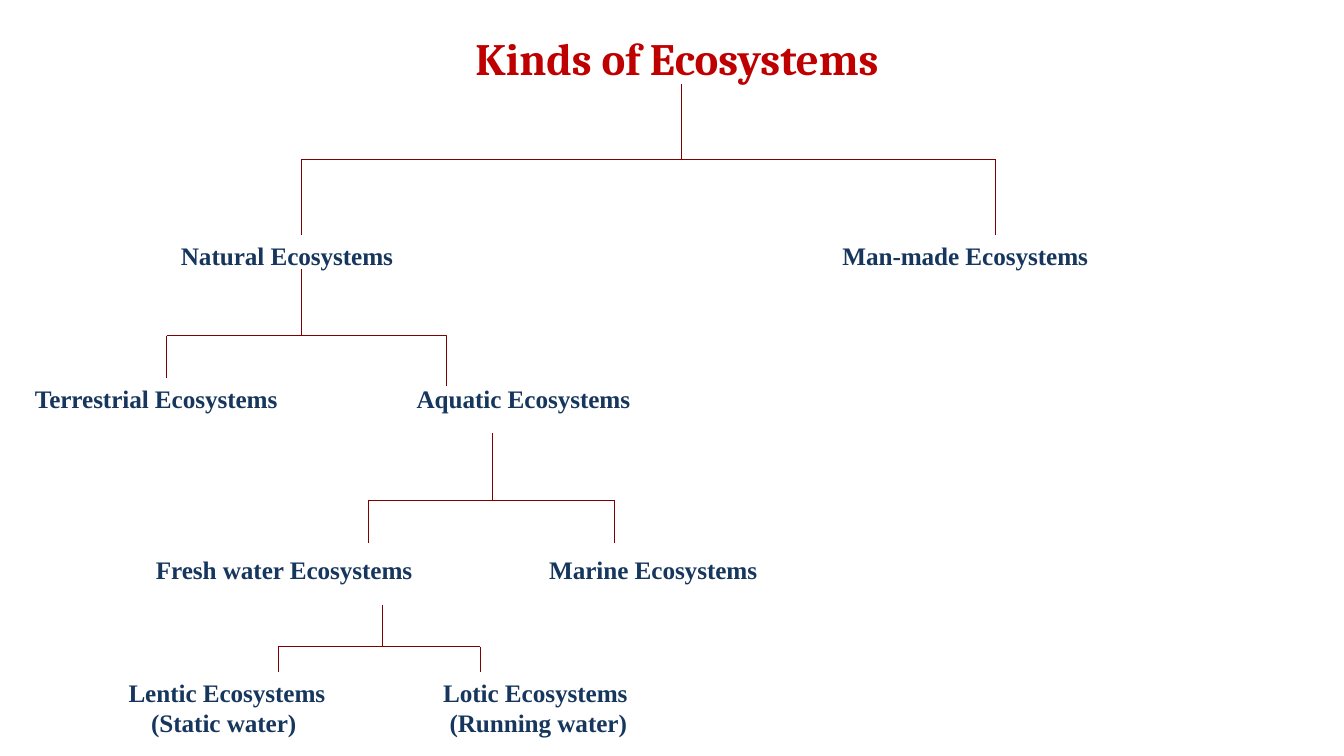
from pptx import Presentation
from pptx.dml.color import RGBColor
from pptx.enum.text import MSO_ANCHOR as Anchor, PP_ALIGN as Align
from pptx.util import Cm, Pt

RED = RGBColor(0xBF, 0x00, 0x00)
NAVY = RGBColor(0x16, 0x36, 0x5D)
MAROON = RGBColor(0x7F, 0x00, 0x00)


def write(box, text, font="Times New Roman", size=18, color=NAVY,
          align=Align.LEFT, left=0.04, hang=0):
    """Fill a box with one bold paragraph; hang is the hanging indent in cm."""
    para = box.text_frame.paragraphs[0]
    para.alignment = align
    para.space_before = Pt(1)
    props = para._p.get_or_add_pPr()
    props.set("marL", str(Cm(left)))
    props.set("indent", str(-Cm(hang)))
    run = para.add_run()
    run.text = text
    run.font.name = font
    run.font.size = Pt(size)
    run.font.bold = True
    run.font.color.rgb = color
    run._r.get_or_add_rPr().set("spc", "-5")


class Tree:
    def __init__(self, slide, color=MAROON, width=0.75):
        self.slide = slide
        self.color = color
        self.width = width

    def label(self, text, x, y, w, h=0.84, anchor=Anchor.TOP, **style):
        box = self.slide.shapes.add_textbox(Cm(x), Cm(y), Cm(w), Cm(h))
        frame = box.text_frame
        frame.word_wrap = True
        frame.vertical_anchor = anchor
        frame.margin_left = frame.margin_right = frame.margin_bottom = 0
        frame.margin_top = Cm(0.03)
        write(box, text, **style)

    def trace(self, *strokes):
        """Draw open strokes, each a list of (x, y) points, as one outline."""
        pen = None
        for stroke in strokes:
            start, *rest = [(Cm(x), Cm(y)) for x, y in stroke]
            if pen is None:
                pen = self.slide.shapes.build_freeform(*start)
            else:
                pen.move_to(*start)
            pen.add_line_segments(rest, close=False)
        shape = pen.convert_to_shape()
        shape.shadow.inherit = False
        shape.fill.background()
        shape.line.color.rgb = self.color
        shape.line.width = Pt(self.width)

    def fork(self, stem, top, bar, left, right, end, both=True):
        """Draw a stem, a bar, and a drop at the left or at both ends."""
        drops = (left, right) if both else (left,)
        self.trace([(stem, top), (stem, bar)], [(left, bar), (right, bar)],
                   *([(x, bar), (x, end)] for x in drops))


def main():
    deck = Presentation()
    deck.slide_width, deck.slide_height = Cm(33.87), Cm(19.05)
    tree = Tree(deck.slides.add_slide(deck.slide_layouts[6]))

    # Title
    tree.label("Kinds of Ecosystems", 10.88, 0.74, 12.32, 1.4,
               anchor=Anchor.MIDDLE, font="Cambria", size=32, color=RED,
               align=Align.CENTER)

    # Branches, from the top level down
    tree.fork(17.17, 2.11, 4.01, 7.59, 25.09, 5.92)
    tree.fork(7.59, 6.78, 8.46, 4.2, 9.85, 9.53, both=False)
    tree.trace([(8.99, 8.46), (11.25, 8.46), (11.25, 9.73)])
    tree.fork(12.42, 10.92, 12.62, 9.28, 15.49, 13.68)
    tree.fork(9.63, 15.24, 16.3, 7.01, 12.1, 16.94)

    # Kinds, one row per level
    for y, row in (
        (6.02, [("Natural", 4.52, 7.26), ("Man-made", 21.19, 8.38)]),
        (9.63, [("Terrestrial", 0.84, 8.38), ("Aquatic", 10.46, 7.32)]),
        (13.94, [("Fresh water", 3.89, 8.79), ("Marine", 13.8, 7.14)]),
    ):
        for kind, x, w in row:
            tree.label(f"{kind} Ecosystems", x, y, w)

    # Fresh water kinds, wrapped onto a second line
    for kind, water, x, w, left in (
        ("Lentic", "Static", 3.2, 6.73, 0.61),
        ("Lotic", "Running", 11.13, 6.32, 0.2),
    ):
        tree.label(f"{kind} Ecosystems ({water} water)", x, 17.03, w, 1.6,
                   left=left, hang=left - 0.04)

    deck.save("out.pptx")


if __name__ == "__main__":
    main()
